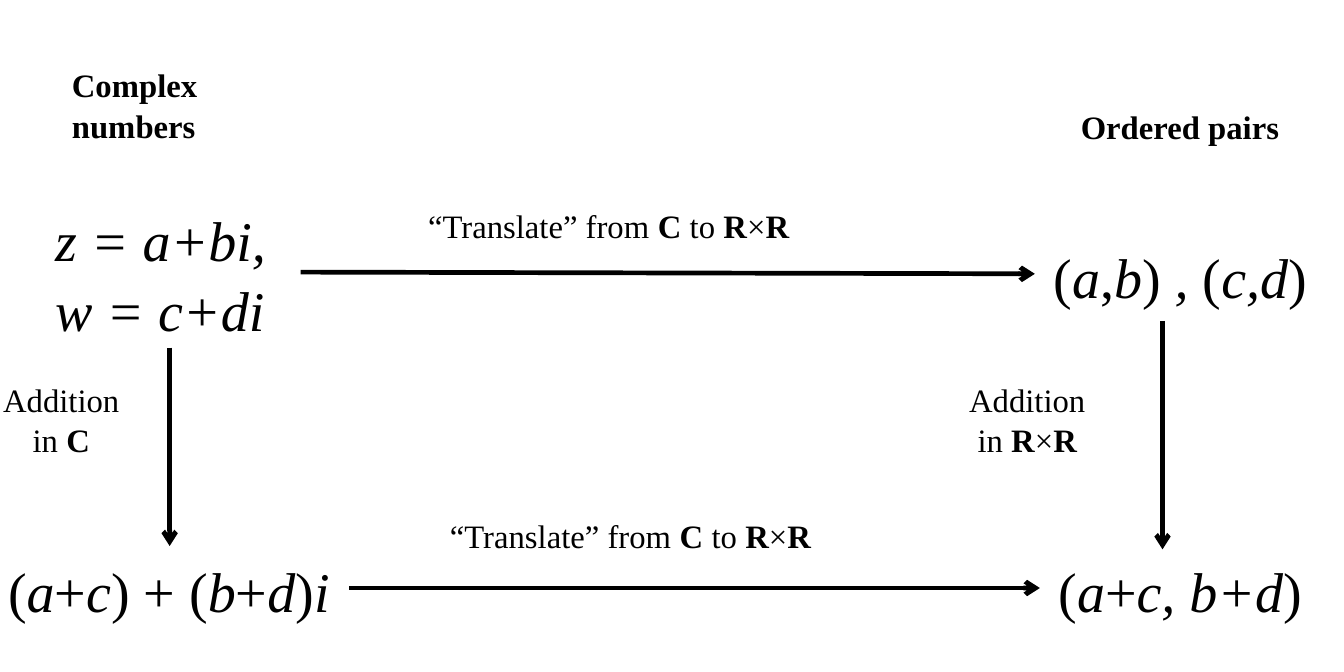
from lxml import etree
from pptx import Presentation
from pptx import util as u
from pptx.dml.color import RGBColor
from pptx.enum import shapes, text
from pptx.oxml.ns import qn

BLACK = RGBColor(0, 0, 0)
WHITE = RGBColor(255, 255, 255)
FONT = "Times New Roman"
LEFT, CENTER = text.PP_ALIGN.LEFT, text.PP_ALIGN.CENTER
TRANSLATE = "“Translate” from |C| to |R|×|R|"


def add_text(slide, box, lines, size=14, emphasis="bold", alignments=(LEFT, LEFT)):
    """Write lines into a box, giving the emphasis to the parts between bars."""
    shape = slide.shapes.add_textbox(*map(u.Inches, box))
    frame = shape.text_frame
    frame.word_wrap = False
    frame.auto_size = text.MSO_AUTO_SIZE.SHAPE_TO_FIT_TEXT
    for index, line in enumerate(lines):
        paragraph = frame.paragraphs[0] if index == 0 else frame.add_paragraph()
        paragraph.alignment = alignments[index]
        paragraph.line_spacing = 1.04
        for position, part in enumerate(line.split("|")):
            if part:
                run = paragraph.add_run()
                run.text = part
                run.font.name = FONT
                run.font.size = u.Pt(size)
                run.font.color.rgb = BLACK
                setattr(run.font, emphasis, position % 2 == 1)


def add_arrow(slide, start, end):
    """Draw a black arrow between two points."""
    ends = map(u.Inches, (*start, *end))
    arrow = slide.shapes.add_connector(shapes.MSO_CONNECTOR.STRAIGHT, *ends)
    arrow.line.color.rgb = BLACK
    arrow.line.width = u.Pt(2)
    properties = arrow.element.find(qn("p:spPr"))
    outline = properties.find(qn("a:ln"))
    etree.SubElement(outline, qn("a:tailEnd"), type="arrow")
    etree.SubElement(properties, qn("a:effectLst"))


def add_complex_column(slide, left, top):
    """Place the complex numbers, their sum and the arrow between them."""
    add_text(slide, (left + 0.33, top + 0.33, 1.23, 0.71), ["|Complex|", "|numbers|"])
    add_text(slide, (left + 0.23, top + 1.16, 1.56, 0.91),
             ["|z = a+bi,|", "|w = c+di|"], size=24, emphasis="italic")
    add_arrow(slide, (left + 1.01, top + 2.07), (left + 1.01, top + 3.25))
    add_text(slide, (left - 0.08, top + 2.2, 1.16, 0.71),
             ["Addition", "in |C|"], alignments=(LEFT, CENTER))
    add_text(slide, (left - 0.06, top + 3.25, 2.13, 0.5),
             ["(|a|+|c|) + (|b|+|d|)|i|"], size=24, emphasis="italic",
             alignments=(CENTER,))


def add_pairs_column(slide, left, top):
    """Place the ordered pairs, their sum and the arrow between them."""
    add_text(slide, (left + 0.49, top + 0.58, 1.73, 0.4), ["|Ordered pairs|"],
             alignments=(CENTER,))
    add_text(slide, (left + 0.49, top + 1.38, 1.73, 0.5),
             ["(|a|,|b|)| , |(|c,d|)"], size=24, emphasis="italic",
             alignments=(CENTER,))
    add_arrow(slide, (left + 1.25, top + 1.91), (left + 1.25, top + 3.27))
    add_text(slide, (left, top + 2.2, 1.16, 0.71),
             ["Addition", "in |R|×|R|"], alignments=(LEFT, CENTER))
    add_text(slide, (left + 0.52, top + 3.25, 1.67, 0.5),
             ["(|a|+|c, b+d|)"], size=24, emphasis="italic", alignments=(CENTER,))


def add_translation(slide, label_left, label_top, start, end):
    """Place a translation arrow and its label."""
    add_text(slide, (label_left, label_top, 2.97, 0.4), [TRANSLATE])
    add_arrow(slide, start, end)


def main():
    """Build and save the slide."""
    presentation = Presentation()
    presentation.slide_width = u.Inches(8)
    presentation.slide_height = u.Inches(4)
    slide = presentation.slides.add_slide(presentation.slide_layouts[6])
    slide.background.fill.solid()
    slide.background.fill.fore_color.rgb = WHITE
    add_complex_column(slide, 0, 0)
    add_pairs_column(slide, 5.67, 0)
    add_translation(slide, 2.45, 1.17, (1.79, 1.62), (6.16, 1.63))
    add_translation(slide, 2.58, 3.01, (2.08, 3.5), (6.19, 3.5))
    presentation.save("out.pptx")


if __name__ == "__main__":
    main()
